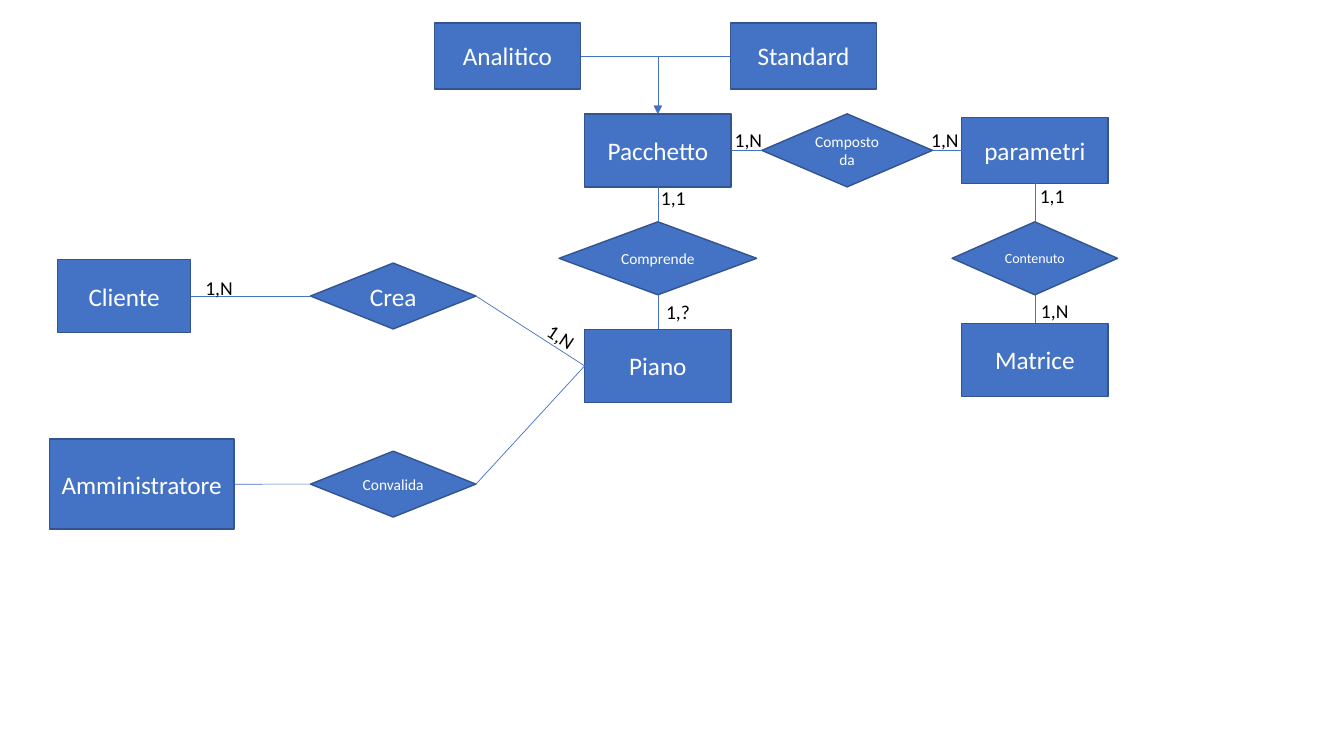
from dataclasses import dataclass
from pptx import Presentation
from pptx.dml.color import RGBColor
from pptx.enum.shapes import MSO_CONNECTOR, MSO_SHAPE
from pptx.enum.text import MSO_ANCHOR, MSO_AUTO_SIZE, PP_ALIGN
from pptx.oxml.ns import qn
from pptx.oxml.xmlchemy import OxmlElement
from pptx.util import Cm, Pt


@dataclass(frozen=True)
class Theme:
    font: str = "Calibri"
    fill: str = "4472C4"
    edge: str = "325491"
    light: str = "FFFFFF"
    dark: str = "000000"
    big: int = 18
    label: int = 14
    small: int = 11
    tiny: int = 10
    border: float = 1
    wire: float = 0.5


class Sketch:
    def __init__(self, slide, theme):
        self.slide = slide
        self.theme = theme

    def frame(self, x, y, wide, high):
        return Cm(x - wide / 2), Cm(y - high / 2), Cm(wide), Cm(high)

    def add_text(self, para, text, size, color):
        run = para.add_run()
        run.text = text
        run.font.name = self.theme.font
        run.font.size = Pt(size)
        run.font.color.rgb = RGBColor.from_string(color)

    def node(self, kind, text, x, y, wide, high, size):
        shape = self.slide.shapes.add_shape(kind, *self.frame(x, y, wide, high))
        shape.shadow.inherit = False
        shape.fill.solid()
        shape.fill.fore_color.rgb = RGBColor.from_string(self.theme.fill)
        shape.line.color.rgb = RGBColor.from_string(self.theme.edge)
        shape.line.width = Pt(self.theme.border)
        body = shape.text_frame
        body.word_wrap = True
        body.vertical_anchor = MSO_ANCHOR.MIDDLE
        para = body.paragraphs[0]
        para.alignment = PP_ALIGN.CENTER
        self.add_text(para, text, size, self.theme.light)
        return shape

    def entity(self, text, x, y, wide=3.69, high=1.84):
        return self.node(MSO_SHAPE.RECTANGLE, text, x, y, wide, high, self.theme.big)

    def relation(self, text, x, y, wide, high, size):
        return self.node(MSO_SHAPE.FLOWCHART_DECISION, text, x, y, wide, high, size)

    def link(self, start, out, end, into, kind=MSO_CONNECTOR.STRAIGHT):
        wire = self.slide.shapes.add_connector(kind, 0, 0, 0, 0)
        wire.begin_connect(start, out)
        wire.end_connect(end, into)
        wire.line.color.rgb = RGBColor.from_string(self.theme.fill)
        wire.line.width = Pt(self.theme.wire)
        wire._element.spPr.append(OxmlElement("a:effectLst"))
        return wire

    def arrow(self, start, out, end, into):
        wire = self.link(start, out, end, into, MSO_CONNECTOR.ELBOW)
        props = wire._element.spPr
        props.find(qn("a:prstGeom")).set("prst", "bentConnector2")
        tip = OxmlElement("a:tailEnd")
        tip.set("type", "triangle")
        props.find(qn("a:ln")).append(tip)

    def label(self, text, x, y, turn=0):
        box = self.slide.shapes.add_textbox(*self.frame(x, y, 1.55, 0.86))
        box.rotation = turn
        body = box.text_frame
        body.word_wrap = True
        body.auto_size = MSO_AUTO_SIZE.SHAPE_TO_FIT_TEXT
        self.add_text(body.paragraphs[0], text, self.theme.label, self.theme.dark)


deck = Presentation()
deck.slide_width, deck.slide_height = Cm(33.87), Cm(19.05)
theme = Theme()
art = Sketch(deck.slides.add_slide(deck.slide_layouts[6]), theme)

TOP, LEFT, BOTTOM, RIGHT = range(4)
left, mid, right = 9.91, 16.58, 26.08
head, pack, join, user, admin = 1.41, 3.79, 6.51, 7.46, 12.2
low = 1.66

plan = art.entity("Piano", mid, 9.22)
packet = art.entity("Pacchetto", mid, pack)
basic = art.entity("Standard", 20.25, head, high=low)
detail = art.entity("Analitico", 12.79, head, high=low)
params = art.entity("parametri", right, pack, high=low)
matrix = art.entity("Matrice", right, 9.07)
client = art.entity("Cliente", 3.13, user, wide=3.36)
manager = art.entity("Amministratore", 3.57, admin, 4.65, 2.27)

covers = art.relation("Comprende", mid, join, 4.98, 1.84, theme.small)
made = art.relation("Composto da", 21.35, pack, 4.3, 1.84, theme.small)
held = art.relation("Contenuto", right, join, 4.17, 1.84, theme.tiny)
creates = art.relation("Crea", left, user, 4.17, low, theme.big)
checks = art.relation("Convalida", left, admin, 4.17, low, theme.small)

art.arrow(detail, RIGHT, packet, TOP)
art.arrow(basic, LEFT, packet, TOP)
for chain in ((packet, covers, plan), (params, held, matrix)):
    for upper, lower in zip(chain, chain[1:]):
        art.link(upper, BOTTOM, lower, TOP)
for chain in ((packet, made, params), (client, creates, plan), (manager, checks, plan)):
    for first, second in zip(chain, chain[1:]):
        art.link(first, RIGHT, second, LEFT)

for text, x, y, turn in (
    ("1,N", 5.7, 7.26, 0),
    ("1,N", 14.29, 8.59, 33.6),
    ("1,?", 17.31, 7.87, 0),
    ("1,1", 17.18, 5, 0),
    ("1,N", 19.04, 3.53, 0),
    ("1,N", 23.99, 3.53, 0),
    ("1,1", 26.73, 4.93, 0),
    ("1,N", 26.76, 7.85, 0),
):
    art.label(text, x, y, turn)

deck.save("out.pptx")
